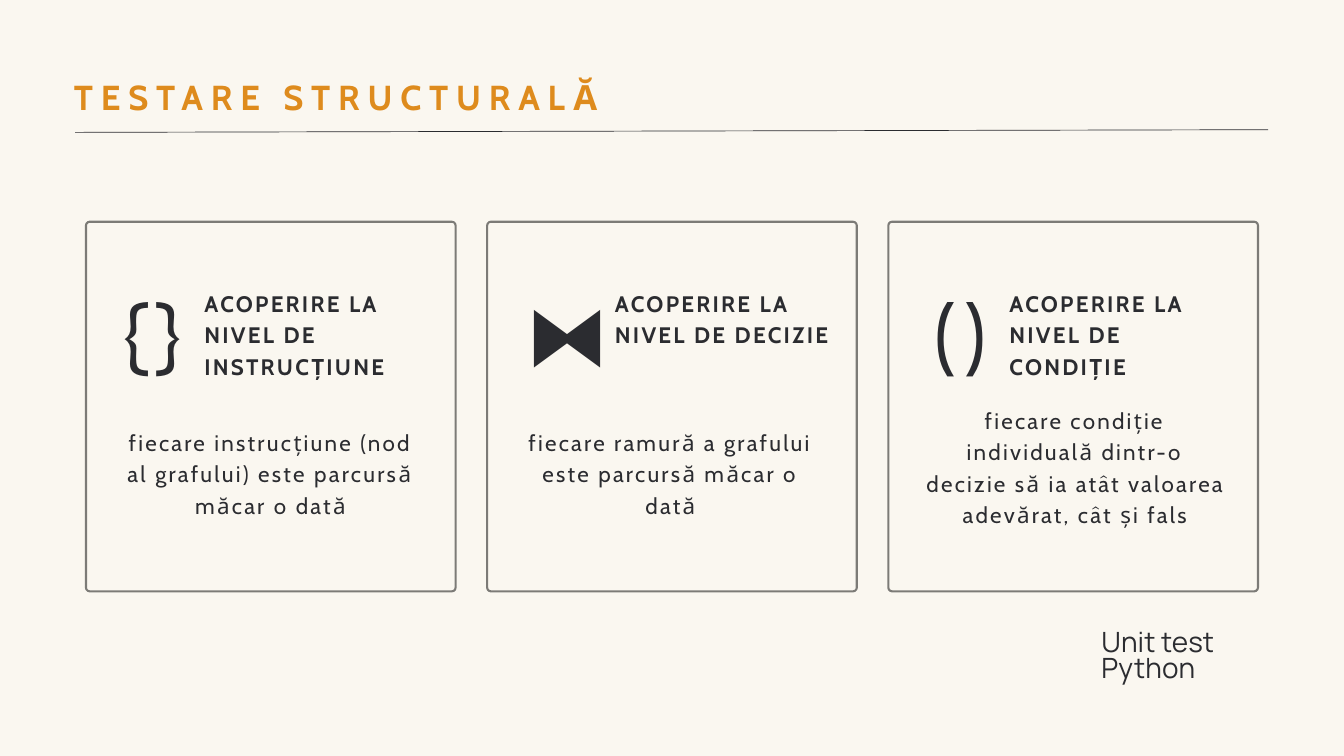
"""Build the slide on structural testing: a title, a rule, three cards and a footer."""
from dataclasses import dataclass

from lxml import etree
from pptx import Presentation
from pptx import util as u
from pptx.dml.color import RGBColor
from pptx.enum import shapes, text
from pptx.oxml.ns import qn

COLUMNS, ROWS = 20, 11.25
CARD_LEFT, CARD_TOP, CARD_SIDE = 1.28, 3.3, 5.5
CARD_COUNT = 3
CARD_PITCH = (COLUMNS - 2 * CARD_LEFT - CARD_SIDE) / (CARD_COUNT - 1)


@dataclass(frozen=True)
class Style:
    """Type settings of one kind of text, with sizes in points."""
    size: float
    leading: float
    tracking: float
    color: str
    bold: bool = False
    align: text.PP_ALIGN = text.PP_ALIGN.LEFT
    font: str = "Cabin"


@dataclass(frozen=True)
class Theme:
    """Colours and type styles of the slide."""
    paper: str = "FAF7F0"
    ink: str = "2B2C30"
    border: str = "000000"
    card_opacity: int = 50
    title: Style = Style(37.1, 52, 8.4, "DE8B1D", bold=True)
    icon: Style = Style(90, 126, 9, ink, align=text.PP_ALIGN.CENTER)
    heading: Style = Style(24, 33.6, 2.4, ink, bold=True)
    body: Style = Style(24, 33.6, 2.4, ink, align=text.PP_ALIGN.CENTER)
    footer: Style = Style(29.9, 27.2, 0.1, ink, font="Manrope")


@dataclass(frozen=True)
class Area:
    """A rectangle in grid columns and rows."""
    left: float
    top: float
    width: float
    height: float

    def lengths(self) -> list:
        """Return the four sides as slide lengths."""
        return [u.Inches(n) for n in (self.left, self.top, self.width, self.height)]


@dataclass(frozen=True)
class Card:
    """One coverage level, with areas relative to the card's left edge."""
    icon: str
    heading: str
    body: tuple
    icon_area: Area
    heading_left: float
    body_area: Area


THEME = Theme()
CARDS = (
    Card("{}", "ACOPERIRE LA NIVEL DE INSTRUCȚIUNE",
         ("fiecare instrucțiune (nod al grafului) este parcursă măcar o dată",),
         Area(0.46, 3.94, 1.07, 1.69), 1.76, Area(0.48, 6.32, 4.53, 1.37)),
    Card("⧓", "ACOPERIRE LA NIVEL DE DECIZIE",
         ("fiecare ramură a grafului este parcursă măcar o dată",),
         Area(0.57, 3.94, 1.11, 1.69), 1.9, Area(0.46, 6.32, 4.53, 1.37)),
    Card("()", "ACOPERIRE LA NIVEL DE CONDIȚIE",
         ("fiecare condiție individuală dintr-o decizie să ia atât valoarea",
          "adevărat, cât și fals"),
         Area(0.57, 3.94, 1.01, 1.69), 1.8, Area(0.51, 5.99, 4.53, 2.29)),
)


def apply(target, values: dict) -> None:
    """Set each named attribute on the target."""
    for name, value in values.items():
        setattr(target, name, value)


def shifted(area: Area, offset: float) -> Area:
    """Move an area to the right."""
    return Area(area.left + offset, area.top, area.width, area.height)


def write(box, lines: tuple, style: Style) -> None:
    """Fill a box with one styled paragraph per line."""
    frame = box.text_frame
    apply(frame, {
        "margin_left": 0, "margin_top": 0, "margin_right": 0, "margin_bottom": 0,
        "word_wrap": True, "auto_size": text.MSO_AUTO_SIZE.NONE,
        "vertical_anchor": text.MSO_ANCHOR.TOP,
    })
    for index, line in enumerate(lines):
        para = frame.add_paragraph() if index else frame.paragraphs[0]
        apply(para, {"alignment": style.align, "line_spacing": u.Pt(style.leading),
                     "space_before": u.Pt(0)})
        span = para.add_run()
        span.text = line
        apply(span.font, {"name": style.font, "size": u.Pt(style.size),
                          "bold": style.bold})
        span.font.color.rgb = RGBColor.from_string(style.color)
        span._r.get_or_add_rPr().set("spc", str(round(style.tracking * 100)))


def add_text(page, area: Area, lines: tuple, style: Style) -> None:
    """Add a text box to the page."""
    write(page.shapes.add_textbox(*area.lengths()), lines, style)


def add_title(page, area: Area, words: str) -> None:
    """Move and fill the title placeholder."""
    title = page.shapes.title
    apply(title, dict(zip(("left", "top", "width", "height"), area.lengths())))
    write(title, (words,), THEME.title)


def add_rule(page, start: tuple, end: tuple) -> None:
    """Draw a thin line between two grid points."""
    rule = page.shapes.add_connector(
        shapes.MSO_CONNECTOR.STRAIGHT, *(u.Inches(n) for n in start + end))
    rule.line.color.rgb = RGBColor.from_string(THEME.ink)
    rule.line.width = u.Pt(0.75)
    etree.SubElement(rule._element.spPr, qn("a:effectLst"))


def add_frame(page, area: Area) -> None:
    """Draw the translucent outlined square of a card."""
    frame = page.shapes.add_shape(
        shapes.MSO_SHAPE.ROUNDED_RECTANGLE, *area.lengths())
    frame.shadow.inherit = False
    frame.adjustments[0] = 0.01
    frame.fill.solid()
    frame.fill.fore_color.rgb = RGBColor.from_string(THEME.paper)
    frame.line.color.rgb = RGBColor.from_string(THEME.border)
    frame.line.width = u.Pt(2.25)
    for color in frame._element.spPr.iter(qn("a:srgbClr")):
        etree.SubElement(color, qn("a:alpha"), val=str(THEME.card_opacity * 1000))


def add_card(page, card: Card, left: float) -> None:
    """Draw a card with its icon, heading and description."""
    add_frame(page, Area(left, CARD_TOP, CARD_SIDE, CARD_SIDE))
    add_text(page, shifted(card.icon_area, left), (card.icon,), THEME.icon)
    add_text(page, Area(left + card.heading_left, 4.25, 3.21, 1.37),
             (card.heading,), THEME.heading)
    add_text(page, shifted(card.body_area, left), card.body, THEME.body)


def main() -> None:
    """Build and save the deck."""
    deck = Presentation()
    apply(deck, {"slide_width": u.Inches(COLUMNS), "slide_height": u.Inches(ROWS)})
    page = deck.slides.add_slide(deck.slide_layouts.get_by_name("Title Only"))
    page.background.fill.solid()
    page.background.fill.fore_color.rgb = RGBColor.from_string(THEME.paper)
    add_title(page, Area(1.1, 1.03, 17.75, 0.71), "TESTARE STRUCTURALĂ")
    add_rule(page, (1.12, 1.97), (18.87, 1.93))
    for index, card in enumerate(CARDS):
        add_card(page, card, CARD_LEFT + index * CARD_PITCH)
    add_text(page, Area(16.39, 9.42, 1.84, 0.8), ("Unit test", "Python"), THEME.footer)
    deck.save("out.pptx")


if __name__ == "__main__":
    main()
